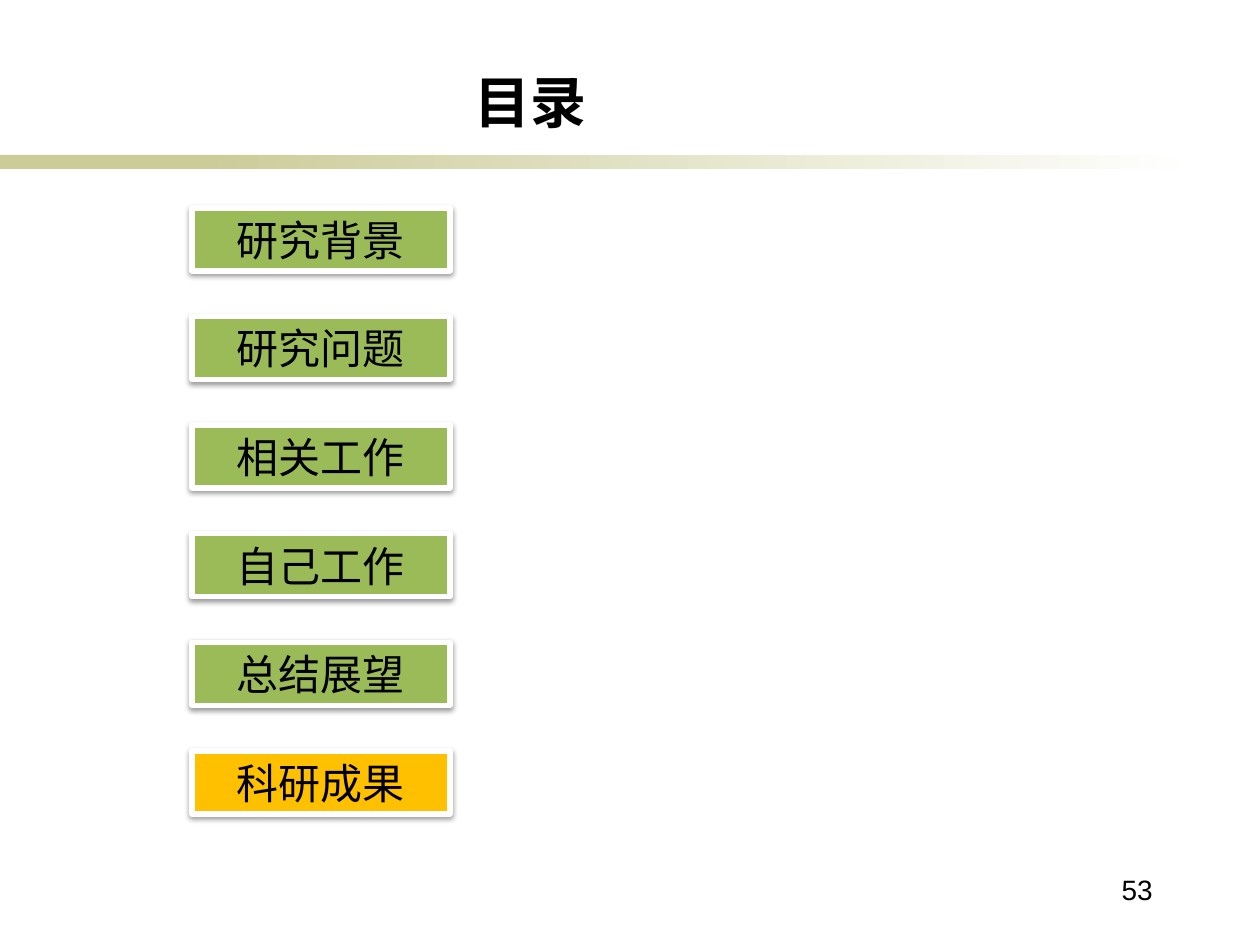
from lxml import etree
from pptx import Presentation
from pptx.dml.color import RGBColor
from pptx.enum.shapes import MSO_SHAPE
from pptx.enum.text import MSO_ANCHOR, PP_ALIGN
from pptx.oxml.ns import qn
from pptx.util import Pt

PX = 914400 / 126
RECT = MSO_SHAPE.RECTANGLE
CENTER, RIGHT = PP_ALIGN.CENTER, PP_ALIGN.RIGHT
TOP, MIDDLE, BOTTOM = MSO_ANCHOR.TOP, MSO_ANCHOR.MIDDLE, MSO_ANCHOR.BOTTOM
TITLE_ONLY = 5
CJK, LATIN = "Noto Sans CJK SC", "Arial"
COLORS = {
    "text": "000000",
    "rule": "CCCC99",
    "paper": "FFFFFF",
    "topic": "9BBB59",
    "current": "FFC000",
}
TOPICS = ["研究背景", "研究问题", "相关工作", "自己工作", "总结展望", "科研成果"]
CURRENT = "科研成果"


def rgb(name):
    return RGBColor.from_string(COLORS[name])


def emu(*lengths):
    return [round(n * PX) for n in lengths]


def set_text(sp, text, size, font, align, anchor, bold=False):
    tf = sp.text_frame
    tf.word_wrap = True
    tf.vertical_anchor = anchor
    p = tf.paragraphs[0]
    p.text = text
    p.alignment = align
    r = p.runs[0]
    r.font.size = Pt(size)
    r.font.bold = bold
    r.font.name = font
    r.font.color.rgb = rgb("text")
    latin = r.font._element.find(qn("a:latin"))
    latin.addnext(latin.makeelement(qn("a:ea"), {"typeface": font}))


def add_rect(s, x, y, w, h):
    sp = s.shapes.add_shape(RECT, *emu(x, y, w, h))
    sp.shadow.inherit = False
    sp.line.fill.background()
    return sp


def add_drop_shadow(sp):
    effects = sp._element.spPr.find(qn("a:effectLst"))
    shadow = etree.SubElement(effects, qn("a:outerShdw"), blurRad="40000",
                              dist="20000", dir="5400000", rotWithShape="0")
    color = etree.SubElement(shadow, qn("a:srgbClr"), val=COLORS["text"])
    etree.SubElement(color, qn("a:alpha"), val="38000")


def place_title(s, x, y, w, h):
    sp = s.shapes.title
    sp.left, sp.top, sp.width, sp.height = emu(x, y, w, h)
    tf = sp.text_frame
    tf.margin_left = tf.margin_top = tf.margin_right = tf.margin_bottom = 0
    set_text(sp, "目录", 32, CJK, CENTER, BOTTOM, bold=True)


def add_title_rule(s, x, y, w, h):
    """Solid band at the left, covered by one that fades to the paper colour."""
    solid = add_rect(s, x, y, 294, h)
    solid.fill.solid()
    solid.fill.fore_color.rgb = rgb("rule")
    fade = add_rect(s, x + 199, y, w - 199, h)
    fade.fill.gradient()
    fade.fill.gradient_angle = 0
    for stop, name in zip(fade.fill.gradient_stops, ("rule", "paper")):
        stop.color.rgb = rgb(name)


def add_topics(s, x, y, w, h):
    """Topic boxes spread evenly from the top to the bottom of the column."""
    box_h = 63
    pitch = (h - box_h) / (len(TOPICS) - 1)
    for i, topic in enumerate(TOPICS):
        sp = add_rect(s, x, y + i * pitch, w, box_h)
        sp.fill.solid()
        sp.fill.fore_color.rgb = rgb("current" if topic == CURRENT else "topic")
        sp.line.color.rgb = rgb("paper")
        sp.line.width = Pt(3)
        add_drop_shadow(sp)
        set_text(sp, topic, 24, CJK, CENTER, MIDDLE)


def add_page_number(s, x, y, w, h):
    sp = s.shapes.add_textbox(*emu(x, y, w, h))
    set_text(sp, "53", 16, LATIN, RIGHT, TOP)


def main():
    prs = Presentation()
    prs.slide_width, prs.slide_height = emu(1260, 945)
    s = prs.slides.add_slide(prs.slide_layouts[TITLE_ONLY])
    add_title_rule(s, 0, 155, 1197, 14)
    add_page_number(s, 1037, 866, 128, 63)
    place_title(s, 144, 55, 774, 80)
    add_topics(s, 192, 208, 258, 606)
    prs.save("out.pptx")


if __name__ == "__main__":
    main()
